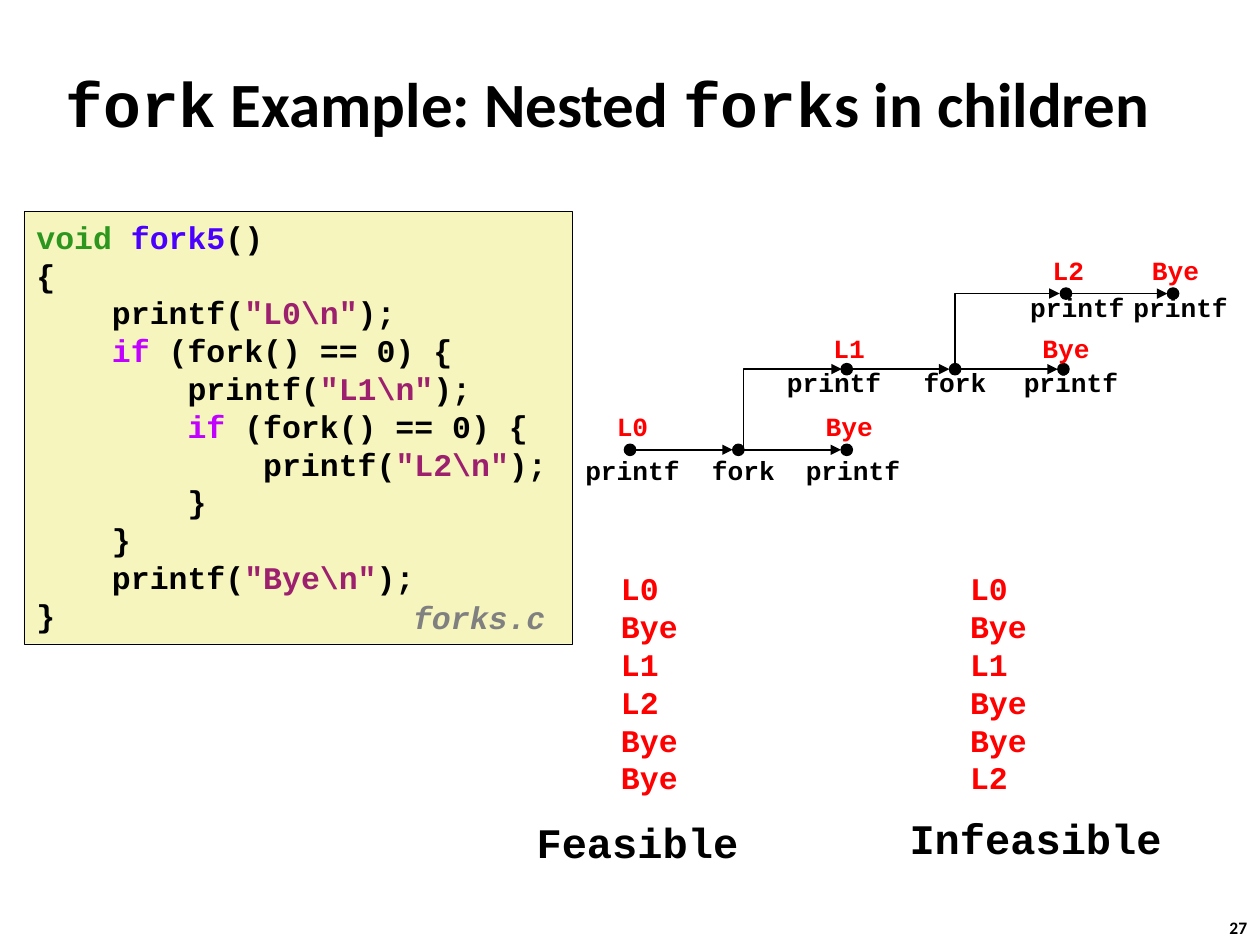
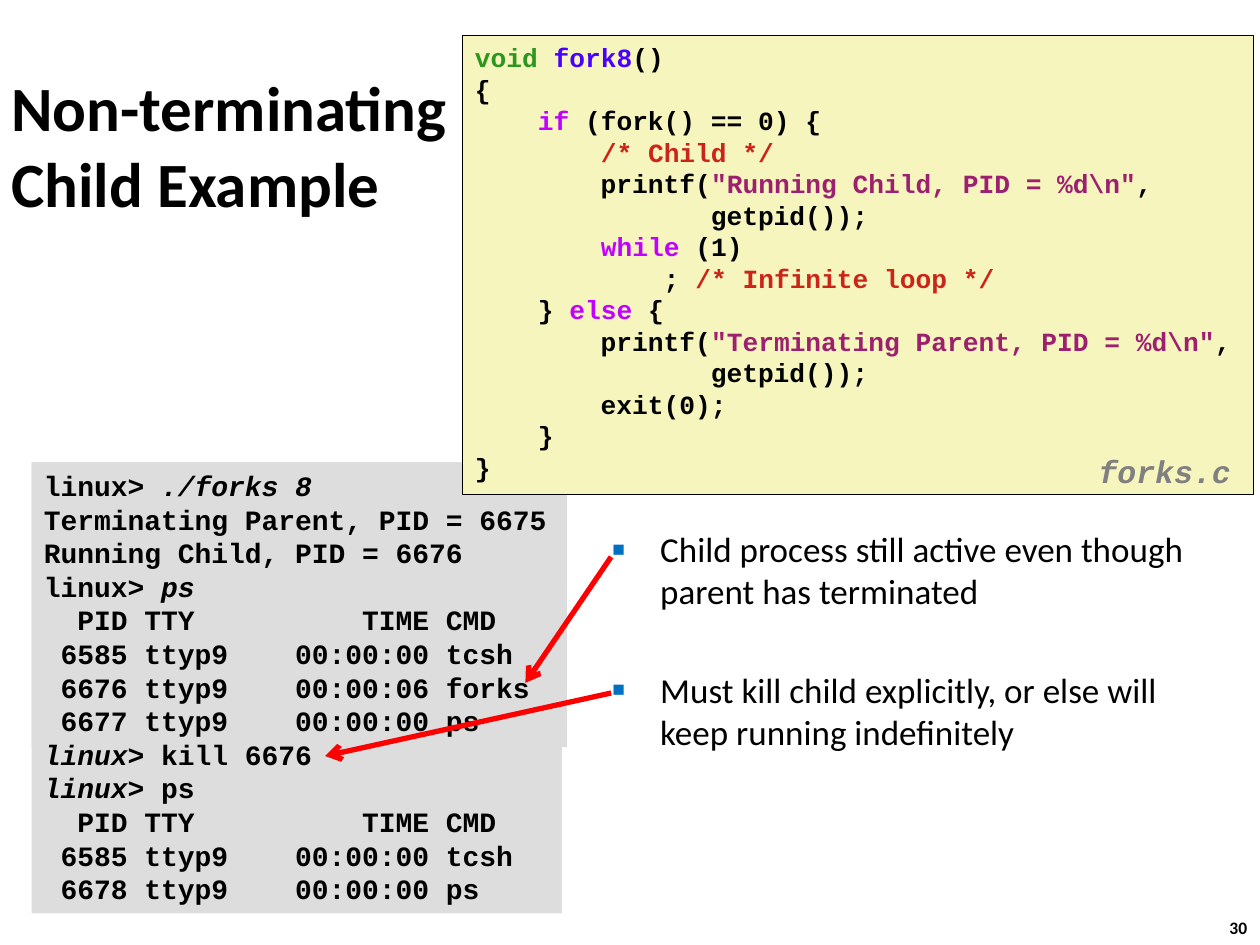
from dataclasses import dataclass
from functools import partial

from lxml.etree import SubElement
from pptx import Presentation
from pptx.dml.color import RGBColor
from pptx.enum.shapes import MSO_CONNECTOR, MSO_SHAPE
from pptx.enum.text import MSO_ANCHOR, MSO_AUTO_SIZE, PP_ALIGN
from pptx.oxml.ns import qn
from pptx.util import Inches, Pt


@dataclass(frozen=True)
class Theme:
    sans: str = "Calibri"
    mono: str = "Courier New"
    black: str = "000000"
    red: str = "FF0000"
    grey: str = "808080"
    code_fill: str = "F6F5BD"
    terminal_fill: str = "DDDDDD"
    bullet: str = "0070C0"
    type_name: str = "2D961E"
    function: str = "4A00FF"
    keyword: str = "C200FF"
    string: str = "9D206F"
    comment: str = "CB2418"
    title_size: int = 36
    verdict_size: int = 24
    body_size: int = 20
    code_size: int = 18
    terminal_size: int = 16
    small_code_size: int = 15
    number_size: int = 10


theme = Theme()


@dataclass
class Span:
    text: str
    colour: str = theme.black
    italic: bool = False
    font: str = ""


# Kinds of marked text
type_name = partial(Span, colour=theme.type_name)
function = partial(Span, colour=theme.function)
keyword = partial(Span, colour=theme.keyword)
string = partial(Span, colour=theme.string)
comment = partial(Span, colour=theme.comment)
italic = partial(Span, italic=True)
mono = partial(Span, font=theme.mono)

FORK5 = [
    [type_name("void "), function("fork5"), "()"],
    "{",
    ["    printf(", string(r'"L0\n"'), ");"],
    ["    ", keyword("if"), " (fork() == 0) {"],
    ["        printf(", string(r'"L1\n"'), ");"],
    ["        ", keyword("if"), " (fork() == 0) {"],
    ["            printf(", string(r'"L2\n"'), ");"],
    "        }",
    "    }",
    ["    printf(", string(r'"Bye\n"'), ");"],
    "}",
]
FORK8 = [
    [type_name("void "), function("fork8"), "()"],
    "{",
    ["    ", keyword("if"), " (fork() == 0) {"],
    ["        ", comment("/* Child */")],
    ["        printf(", string(r'"Running Child, PID = %d\n"'), ","],
    "               getpid());",
    ["        ", keyword("while"), " (1)"],
    ["            ; ", comment("/* Infinite loop */")],
    ["    } ", keyword("else"), " {"],
    ["        printf(", string(r'"Terminating Parent, PID = %d\n"'), ","],
    "               getpid());",
    "        exit(0);",
    "    }",
    "}",
]
PS_HEADER = ["  PID TTY          TIME CMD", " 6585 ttyp9    00:00:00 tcsh"]
SESSION = [
    ["linux> ", italic("./forks 8")],
    "Terminating Parent, PID = 6675",
    "Running Child, PID = 6676",
    ["linux> ", italic("ps")],
    *PS_HEADER,
    " 6676 ttyp9    00:00:06 forks",
    " 6677 ttyp9    00:00:00 ps",
    [italic("linux>"), " kill 6676"],
    [italic("linux> "), "ps"],
    *PS_HEADER,
    " 6678 ttyp9    00:00:00 ps",
]

# Process rows: line y, output top, call top, events (dot x, output, call, call x)
PROCESSES = [
    (3.57, 3.21, 3.56, [(5.0, "L0", "printf", 5.02), (5.86, "", "fork", 5.9),
                        (6.72, "Bye", "printf", 6.77)]),
    (2.93, 2.59, 2.86, [(6.72, "L1", "printf", 6.62), (7.58, "", "fork", 7.58),
                        (8.44, "Bye", "printf", 8.5)]),
    (2.33, 1.97, 2.26, [(8.46, "L2", "printf", 8.55), (9.31, "Bye", "printf", 9.37)]),
]
DOT = 0.09


def apply(target, values):
    for name, value in values.items():
        setattr(target, name, value)


def write(frame, lines, size, font=theme.mono, bold=True, align=PP_ALIGN.LEFT):
    """Fill a text frame; a line is a string or a list of strings and Spans."""
    for index, line in enumerate(lines):
        para = frame.paragraphs[0] if index == 0 else frame.add_paragraph()
        para.alignment = align
        for part in [line] if isinstance(line, (str, Span)) else line:
            span = part if isinstance(part, Span) else Span(part)
            run = para.add_run()
            run.text = span.text
            apply(run.font, {"name": span.font or font, "size": Pt(size),
                             "bold": bold, "italic": span.italic})
            run.font.color.rgb = RGBColor.from_string(span.colour)


def fit(frame):
    apply(frame, {"word_wrap": False, "vertical_anchor": MSO_ANCHOR.TOP,
                  "auto_size": MSO_AUTO_SIZE.SHAPE_TO_FIT_TEXT})


def add_text(page, place, lines, size, **style):
    box = page.shapes.add_textbox(*map(Inches, place))
    fit(box.text_frame)
    write(box.text_frame, lines, size, **style)
    return box


def add_solid(page, kind, place, fill, line_width=0):
    shape = page.shapes.add_shape(kind, *map(Inches, place))
    shape.shadow.inherit = False
    shape.fill.solid()
    shape.fill.fore_color.rgb = RGBColor.from_string(fill)
    if line_width:
        shape.line.color.rgb = RGBColor.from_string(theme.black)
        shape.line.width = Pt(line_width)
    else:
        shape.line.fill.background()
    return shape


def add_panel(page, place, fill, lines, size, line_width=0):
    panel = add_solid(page, MSO_SHAPE.RECTANGLE, place, fill, line_width)
    fit(panel.text_frame)
    write(panel.text_frame, lines, size)


def add_code(page, place, lines, size, name_at):
    add_panel(page, place, theme.code_fill, lines, size, 0.25)
    name = Span("forks.c", theme.grey, italic=True)
    box = add_text(page, (*name_at, 1.32, 0.39), [name], theme.code_size)
    box.text_frame.paragraphs[0].line_spacing = 0.94


def add_arrow(page, start, end, colour=theme.black, width=1, head="triangle",
              kind=MSO_CONNECTOR.STRAIGHT):
    arrow = page.shapes.add_connector(kind, *map(Inches, (*start, *end)))
    arrow.line.color.rgb = RGBColor.from_string(colour)
    arrow.line.width = Pt(width)
    properties = arrow._element.spPr
    SubElement(properties.find(qn("a:ln")), qn("a:tailEnd"), type=head)
    SubElement(properties, qn("a:effectLst"))
    return arrow


def add_branch(page, start, end):
    """Arrow that goes up from start, then right to end."""
    (x1, y1), (x2, y2) = start, end
    middle_x, middle_y = (x1 + x2) / 2, (y1 + y2) / 2
    half_run, half_rise = (x2 - x1) / 2, (y1 - y2) / 2
    # One-bend connector, turned by a quarter about its centre
    arrow = add_arrow(page, (middle_x + half_rise, middle_y + half_run),
                      (middle_x - half_rise, middle_y - half_run),
                      kind=MSO_CONNECTOR.ELBOW)
    properties = arrow._element.spPr
    properties.find(qn("a:xfrm")).set("rot", "5400000")
    properties.find(qn("a:prstGeom")).set("prst", "bentConnector2")


def add_label(page, centre, top, text, colour=theme.black):
    width = 0.2 + 0.125 * len(text)
    add_text(page, (centre - width / 2, top, width, 0.35), [Span(text, colour)],
             theme.small_code_size, align=PP_ALIGN.CENTER)


def add_process_graph(page):
    radius = DOT / 2
    for y, output_top, call_top, events in PROCESSES:
        for (x, *_), (next_x, *_) in zip(events, events[1:]):
            add_arrow(page, (x + radius, y), (next_x - radius, y))
        for x, output, call, call_x in events:
            add_solid(page, MSO_SHAPE.OVAL, (x - radius, y - radius, DOT, DOT),
                      theme.black, 0.75)
            add_label(page, call_x, call_top, call)
            if output:
                add_label(page, x + 0.02, output_top, output, theme.red)
    add_branch(page, (5.9, 3.57), (6.68, 2.93))
    add_branch(page, (7.58, 2.93), (8.41, 2.33))


def add_outcome(page, left, outputs, verdict, verdict_place):
    add_text(page, (left, 4.47, 0.65, 1.92),
             [Span(text, theme.red) for text in outputs], theme.code_size)
    add_text(page, verdict_place, [verdict], theme.verdict_size)


def place_holder(holder, place):
    names = ("left", "top", "width", "height")
    apply(holder, dict(zip(names, map(Inches, place))))
    holder.text_frame.auto_size = MSO_AUTO_SIZE.NONE
    return holder.text_frame


def add_page(deck, layout, title, title_place, number):
    page = deck.slides.add_slide(deck.slide_layouts[layout])
    frame = place_holder(page.shapes.title, title_place)
    frame.vertical_anchor = MSO_ANCHOR.MIDDLE
    write(frame, title, theme.title_size, font=theme.sans)
    add_text(page, (9.66, 7.23, 0.37, 0.27), [number], theme.number_size,
             font=theme.sans)
    return page


def fill_bullets(holder, place, lines):
    frame = place_holder(holder, place)
    write(frame, lines, theme.body_size, font=theme.sans, bold=False)
    for index, para in enumerate(frame.paragraphs):
        properties = para._p.get_or_add_pPr()
        properties.set("marL", str(Inches(0.38)))
        properties.set("indent", str(-Inches(0.38)))
        colour = SubElement(properties, qn("a:buClr"))
        SubElement(colour, qn("a:srgbClr"), val=theme.bullet)
        SubElement(properties, qn("a:buSzPct"), val="60000")
        SubElement(properties, qn("a:buChar"), char="■")
        para.space_before = Pt(32 if index else 0)


def build_nested_forks(deck):
    title = [[mono("fork"), " Example: Nested ", mono("fork"), "s in children"]]
    page = add_page(deck, 5, title, (0.42, 0.5, 9.22, 0.63), "27")
    add_code(page, (0.19, 1.68, 4.35, 3.43), FORK5, theme.code_size, (3.18, 4.72))
    add_process_graph(page)
    add_outcome(page, 4.83, ["L0", "Bye", "L1", "L2", "Bye", "Bye"],
                "Feasible", (4.16, 6.43, 1.81, 0.5))
    add_outcome(page, 7.6, ["L0", "Bye", "L1", "Bye", "Bye", "L2"],
                "Infeasible", (7.12, 6.4, 2.22, 0.5))


def build_non_terminating_child(deck):
    page = add_page(deck, 1, ["Non-terminating", "Child Example"],
                    (-0.01, 0.26, 3.93, 1.77), "30")
    fill_bullets(page.placeholders[1], (4.76, 4.14, 4.74, 2.97), [
        "Child process still active even though parent has terminated",
        "Must kill child explicitly, or else will keep running indefinitely",
    ])
    # Terminal session, its upper part slightly wider
    add_solid(page, MSO_SHAPE.RECTANGLE, (0.25, 3.67, 4.25, 2.26), theme.terminal_fill)
    add_panel(page, (0.25, 3.67, 4.21, 3.58), theme.terminal_fill, SESSION,
              theme.terminal_size)
    add_code(page, (3.67, 0.28, 6.28, 3.64), FORK8, theme.small_code_size, (8.62, 3.56))
    # Bullets point at the session lines
    for start, end in [((4.85, 4.42), (4.17, 5.42)), ((4.85, 5.5), (2.58, 6))]:
        add_arrow(page, start, end, theme.red, 3, "arrow")


def main():
    deck = Presentation()
    apply(deck, {"slide_width": Inches(10), "slide_height": Inches(7.5)})
    build_nested_forks(deck)
    build_non_terminating_child(deck)
    deck.save("out.pptx")


if __name__ == "__main__":
    main()
